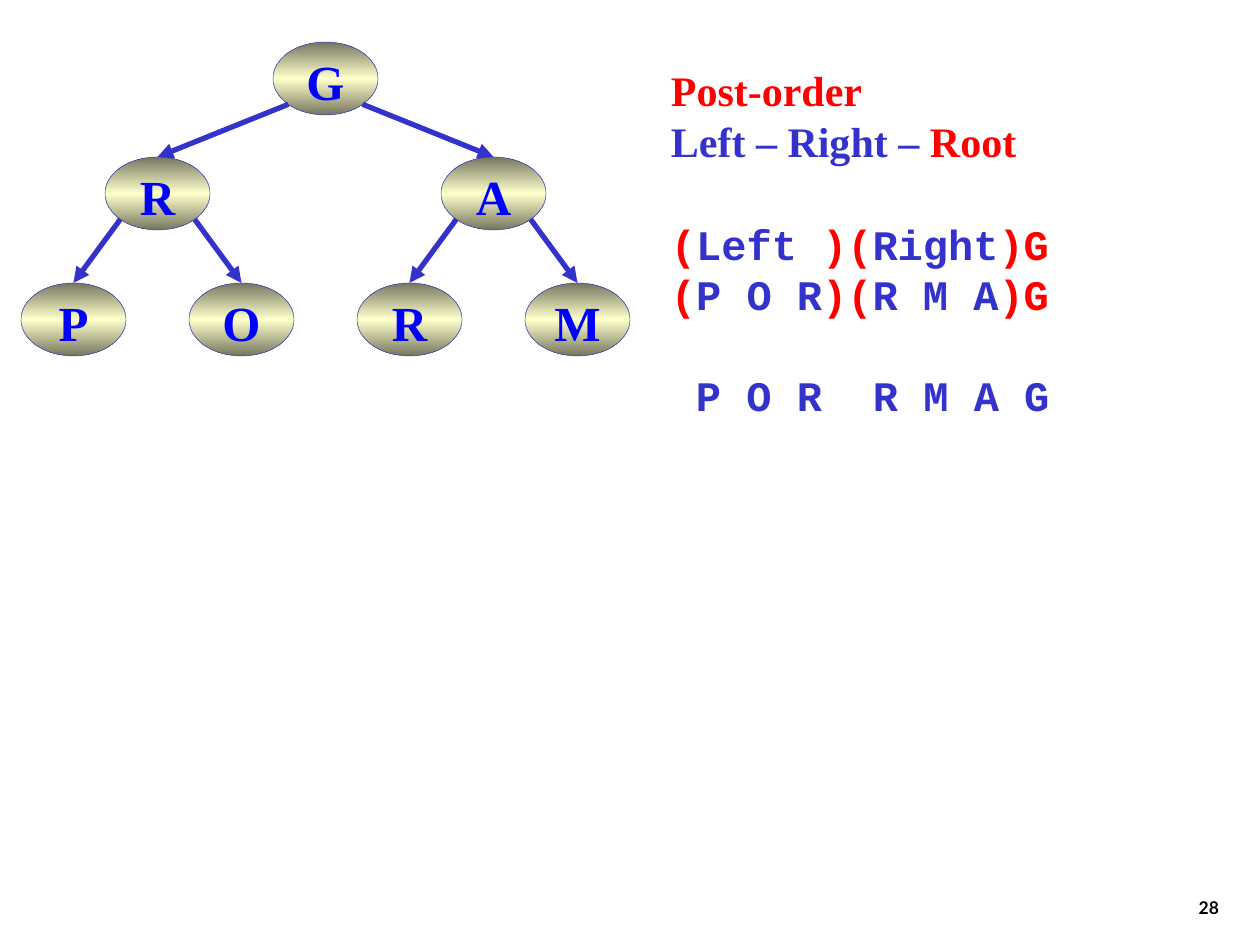
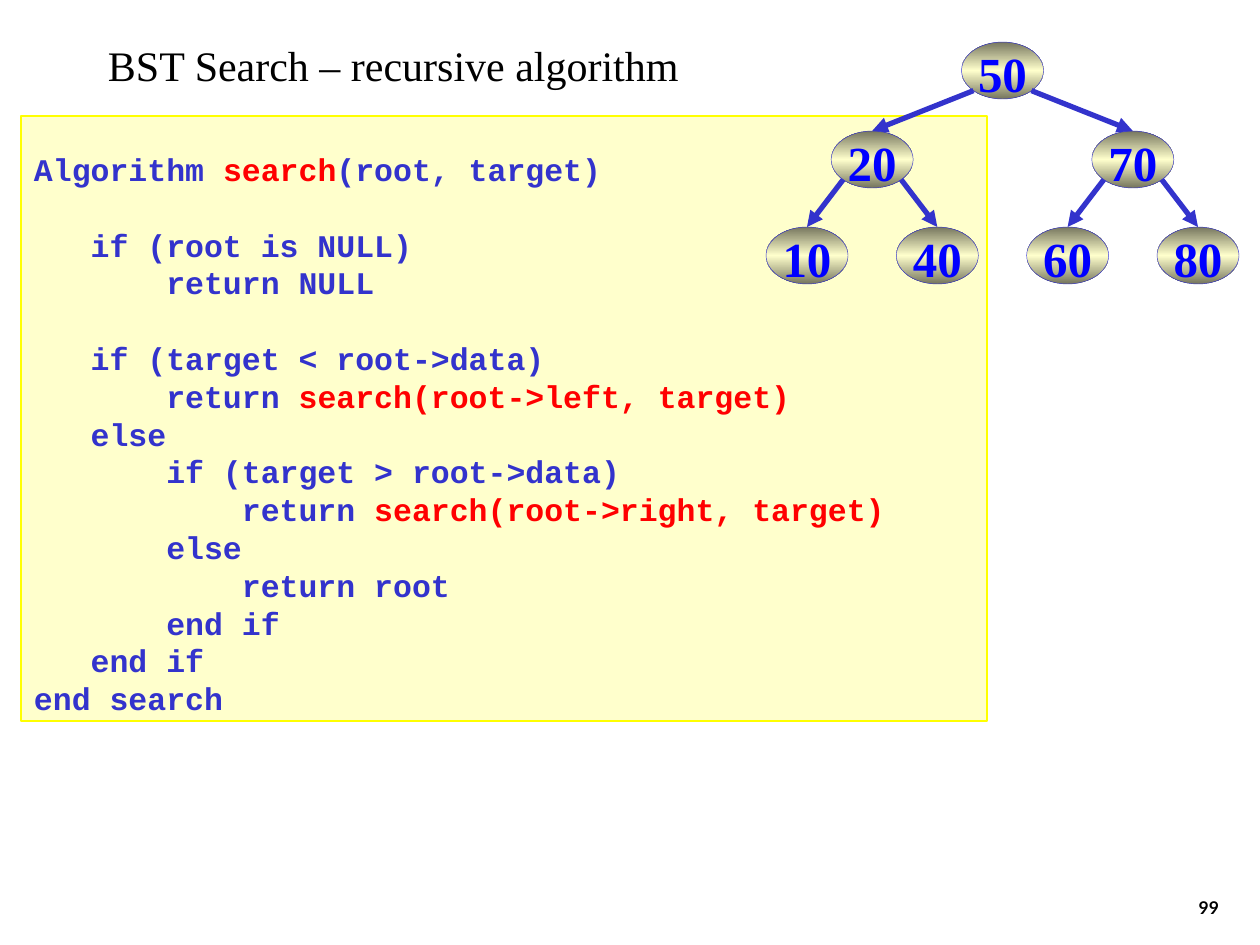
from dataclasses import dataclass
from math import sqrt

from lxml.etree import SubElement
from pptx import Presentation
from pptx.dml.color import RGBColor
from pptx.enum.shapes import MSO_CONNECTOR, MSO_SHAPE
from pptx.enum.text import MSO_ANCHOR as Anchor, MSO_AUTO_SIZE as AutoSize, PP_ALIGN as Align
from pptx.oxml.ns import qn
from pptx.util import Emu, Pt

EMU_PER_PX = 914400 / 126
TITLE_ONLY, BLANK = 5, 6


@dataclass(frozen=True)
class Theme:
    black: str = "000000"
    blue: str = "3333CC"
    node_text: str = "0000FF"
    red: str = "FF0000"
    cream: str = "FFFFCC"
    olive: str = "76765E"
    yellow: str = "FFFF00"
    serif: str = "Times New Roman"
    mono: str = "Courier New"
    sans: str = "Lato"
    number_size: int = 10
    code_size: int = 18
    text_size: int = 24
    node_size: int = 28
    leading: float = 1.2


THEME = Theme()


def px(length):
    return Emu(round(length * EMU_PER_PX))


def rgb(colour):
    return RGBColor.from_string(colour)


# Text

def set_frame(frame, insets=(13, 6, 13, 6), anchor=Anchor.TOP, wrap=True):
    frame.auto_size = AutoSize.NONE
    frame.word_wrap = wrap
    frame.vertical_anchor = anchor
    frame.margin_left, frame.margin_top, frame.margin_right, frame.margin_bottom = map(px, insets)


def write_paragraph(paragraph, runs, font, size, bold=True, align=Align.LEFT, before=0, tabs=()):
    """Write (text, colour) runs with even leading and optional tab stops in px."""
    paragraph.alignment = align
    paragraph.line_spacing = Pt(size * THEME.leading)
    paragraph.space_before = Pt(before)
    if tabs:
        tab_list = SubElement(paragraph._p.get_or_add_pPr(), qn("a:tabLst"))
        for position in tabs:
            SubElement(tab_list, qn("a:tab"), pos=str(px(position)), algn="l")
    for text, colour in runs:
        run = paragraph.add_run()
        run.text = text
        run.font.name = font
        run.font.size = Pt(size)
        run.font.bold = bold
        run.font.color.rgb = rgb(colour)


def next_paragraph(frame):
    first = frame.paragraphs[0]
    return frame.add_paragraph() if first.runs else first


def add_slide_number(slide, number):
    frame = slide.shapes.add_textbox(px(970), px(861), px(262), px(63)).text_frame
    set_frame(frame, anchor=Anchor.BOTTOM)
    write_paragraph(frame.paragraphs[0], [(number, THEME.black)], THEME.sans,
                    THEME.number_size, align=Align.RIGHT)


def set_title(slide, text):
    title = slide.shapes.title
    title.left, title.top, title.width, title.height = px(95), px(32), px(599), px(63)
    set_frame(title.text_frame, insets=(13, 8, 13, 4))
    write_paragraph(title.text_frame.paragraphs[0], [(text, THEME.black)], THEME.serif,
                    THEME.text_size, bold=False)


# Binary tree

def fill_node(shape):
    shape.fill.gradient()
    shape.fill.gradient_angle = 90
    stops = shape._element.spPr.find(qn("a:gradFill")).find(qn("a:gsLst"))
    for stop in list(stops):
        stops.remove(stop)
    for percent, colour in ((0, THEME.olive), (50, THEME.cream), (100, THEME.olive)):
        stop = SubElement(stops, qn("a:gs"), pos=str(percent * 1000))
        SubElement(stop, qn("a:srgbClr"), val=colour)


def add_node(slide, label, left, top, width, height):
    node = slide.shapes.add_shape(MSO_SHAPE.OVAL, px(left), px(top), px(width), px(height))
    node.shadow.inherit = False
    fill_node(node)
    node.line.color.rgb = rgb(THEME.blue)
    node.line.width = Pt(0.25)
    set_frame(node.text_frame, insets=(0, 4, 0, 0), anchor=Anchor.MIDDLE, wrap=False)
    write_paragraph(node.text_frame.paragraphs[0], [(label, THEME.node_text)], THEME.serif,
                    THEME.node_size, align=Align.CENTER)
    return node


def add_branch(slide, parent, child, side):
    """Arrow from the parent's lower diagonal (side -1 left, 1 right) to the child's top."""
    start_x = parent.left + round(parent.width * (1 + side * sqrt(0.5)) / 2)
    start_y = parent.top + round(parent.height * (1 + sqrt(0.5)) / 2)
    branch = slide.shapes.add_connector(MSO_CONNECTOR.STRAIGHT, start_x, start_y,
                                        child.left + child.width // 2, child.top)
    branch.end_connect(child, 0)
    branch.line.color.rgb = rgb(THEME.blue)
    branch.line.width = Pt(3)
    SubElement(branch.line._get_or_add_ln(), qn("a:tailEnd"), type="triangle")
    SubElement(branch._element.spPr, qn("a:effectLst"))


def add_tree(slide, levels, left, span, tops, node_size):
    """Span is the distance from the first leaf to the last one."""
    depth = len(levels) - 1
    slots = 2 * (2 ** depth - 1)
    rows = []
    for level, (labels, top) in enumerate(zip(levels, tops)):
        step = 2 ** (depth - level)
        rows.append([add_node(slide, label, left + span * ((2 * index + 1) * step - 1) / slots,
                              top, *node_size)
                     for index, label in enumerate(labels)])
    for parents, children in zip(rows, rows[1:]):
        for index, child in enumerate(children):
            add_branch(slide, parents[index // 2], child, 1 if index % 2 else -1)


# Slides

def build_post_order(presentation):
    slide = presentation.slides.add_slide(presentation.slide_layouts[BLANK])
    add_slide_number(slide, "28")
    red, blue = THEME.red, THEME.blue
    frame = slide.shapes.add_textbox(px(658), px(57), px(415), px(365)).text_frame
    set_frame(frame, insets=(13, 8, 0, 6))
    lines = [
        (THEME.serif, 0, [("Post-order", red)]),
        (THEME.serif, 0, [("Left – Right – ", blue), ("Root", red)]),
        (THEME.mono, 30, [("(", red), ("Left ", blue), (")(", red), ("Right", blue), (")G", red)]),
        (THEME.mono, 0, [("(", red), ("P O R", blue), (")(", red), ("R M A", blue), (")G", red)]),
        (THEME.mono, 29, [("\tP O R\tR M A G", blue)]),
    ]
    for font, before, runs in lines:
        tabs = (25, 202) if "\t" in runs[0][0] else ()
        write_paragraph(next_paragraph(frame), runs, font, THEME.text_size,
                        before=before, tabs=tabs)
    add_tree(slide, ["G", "RA", "PORM"], left=21, span=504, tops=(42, 157, 283),
             node_size=(105, 73))


def add_code_box(slide, blocks):
    """Blocks of code lines, one empty line apart."""
    box = slide.shapes.add_shape(MSO_SHAPE.RECTANGLE, px(21), px(116), px(966), px(605))
    box.shadow.inherit = False
    box.fill.solid()
    box.fill.fore_color.rgb = rgb(THEME.cream)
    box.line.color.rgb = rgb(THEME.yellow)
    box.line.width = Pt(0.75)
    set_frame(box.text_frame, insets=(13, 34, 13, 0))
    for block_index, block in enumerate(blocks):
        for line_index, runs in enumerate(block):
            starts_gap = block_index > 0 and line_index == 0
            write_paragraph(next_paragraph(box.text_frame), runs, THEME.mono, THEME.code_size,
                            before=THEME.code_size * THEME.leading if starts_gap else 0)


def build_bst_search(presentation):
    slide = presentation.slides.add_slide(presentation.slide_layouts[TITLE_ONLY])
    set_title(slide, "BST Search – recursive algorithm")
    add_slide_number(slide, "99")
    red, blue = THEME.red, THEME.blue
    add_code_box(slide, [
        [[("Algorithm ", blue), ("search", red), ("(root, target)", blue)]],
        [[("   if (root is NULL)", blue)],
         [("       return NULL", blue)]],
        [[("   if (target < root->data)", blue)],
         [("       return ", blue), ("search(root->left, target)", red)],
         [("   else", blue)],
         [("       if (target > root->data)", blue)],
         [("           return ", blue), ("search(root->right, target)", red)],
         [("       else", blue)],
         [("           return root", blue)],
         [("       end if", blue)],
         [("   end if", blue)],
         [("end search", blue)]],
    ])
    add_tree(slide, [["50"], ["20", "70"], ["10", "40", "60", "80"]], left=766, span=391,
             tops=(42, 131, 227), node_size=(82, 57))


def main():
    presentation = Presentation()
    presentation.slide_width, presentation.slide_height = px(1260), px(945)
    build_post_order(presentation)
    build_bst_search(presentation)
    presentation.save("out.pptx")


if __name__ == "__main__":
    main()
